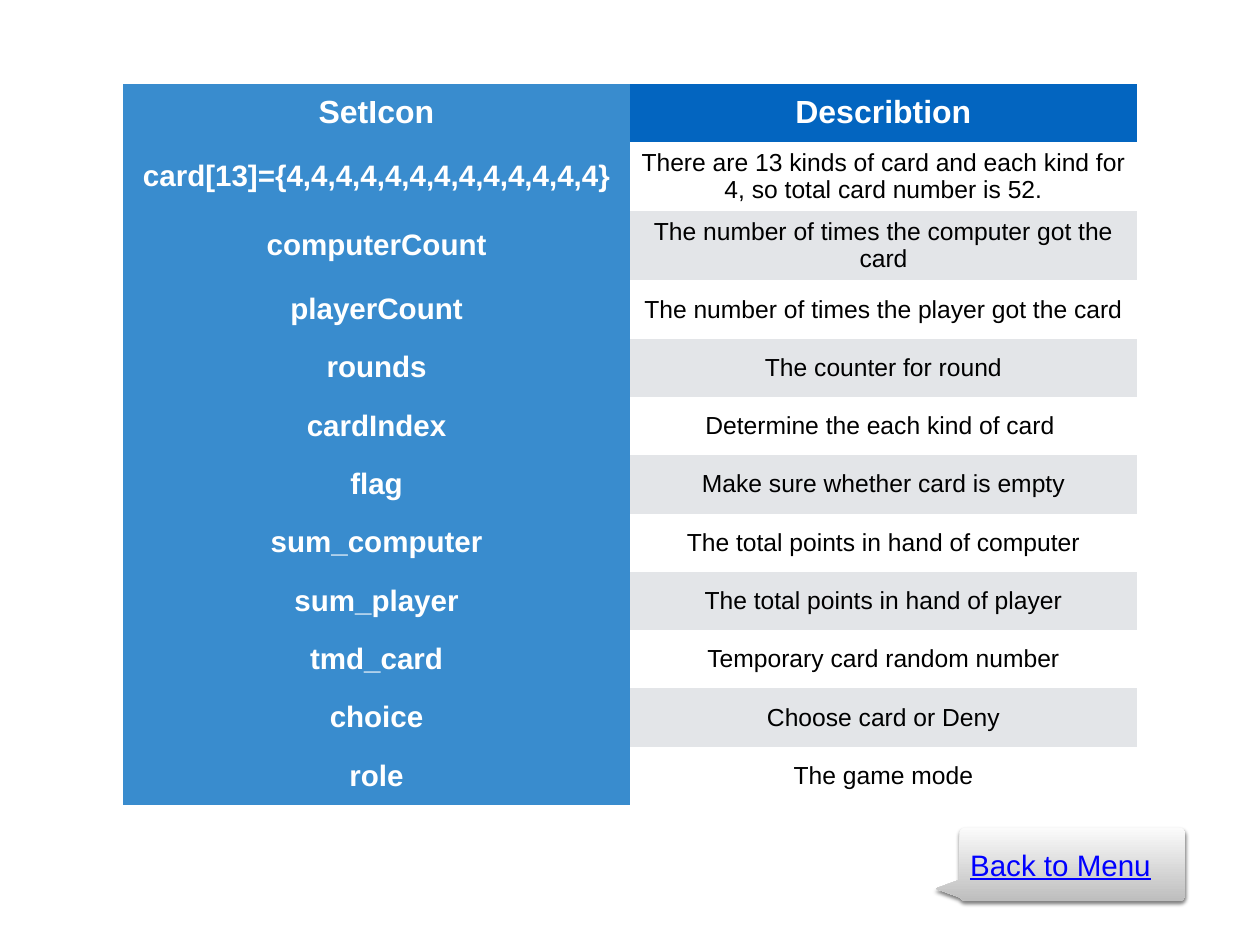
from math import cos, radians, sin

from lxml.etree import SubElement
from pptx import Presentation
from pptx.dml.color import RGBColor
from pptx.enum.text import MSO_ANCHOR as ANCHOR, PP_ALIGN as ALIGN
from pptx.oxml.ns import qn
from pptx.util import Pt

FONT = "Arial"
INSET = 4
HEADER = ("SetIcon", "Describtion")
VARIABLES = [
    ("card[13]={4,4,4,4,4,4,4,4,4,4,4,4,4}",
     "There are 13 kinds of card and each kind for 4, so total card number is 52."),
    ("computerCount", "The number of times the computer got the card"),
    ("playerCount", "The number of times the player got the card"),
    ("rounds", "The counter for round"),
    ("cardIndex", "Determine the each kind of card "),
    ("flag", "Make sure whether card is empty"),
    ("sum_computer", "The total points in hand of computer"),
    ("sum_player", "The total points in hand of player"),
    ("tmd_card", "Temporary card random number"),
    ("choice", "Choose card or Deny"),
    ("role", "The game mode"),
]
NO_STYLE = "{2D5ABB26-0587-4C30-8999-92F81FD0307C}"


def rgb(color):
    return RGBColor.from_string(color)


def write(tf, text, size, color, bold=False, underline=False):
    p = tf.paragraphs[0]
    p.alignment = ALIGN.CENTER
    r = p.add_run()
    r.text = text
    r.font.name, r.font.size = FONT, Pt(size)
    r.font.bold, r.font.underline = bold, underline
    r.font.color.rgb = rgb(color)


def set_insets(target):
    for side in ("left", "top", "right", "bottom"):
        setattr(target, f"margin_{side}", Pt(INSET))


def add_variable_table(s, left, top, width, row_height, tall_height):
    rows = [HEADER, *VARIABLES]
    heights = [tall_height if i in (1, 2) else row_height for i in range(len(rows))]
    frame = s.shapes.add_table(len(rows), 2, Pt(left), Pt(top), Pt(width), Pt(sum(heights)))
    table = frame.table
    table.horz_banding = False
    table.first_col = True
    table._tbl.tblPr.find(qn("a:tableStyleId")).text = NO_STYLE
    for column in table.columns:
        column.width = Pt(width / 2)

    for i, (texts, height) in enumerate(zip(rows, heights)):
        table.rows[i].height = Pt(height)
        band = "0365C0" if i == 0 else ("E3E5E8", "FFFFFF")[i % 2]
        for j, (text, fill) in enumerate(zip(texts, ("398CCE", band))):
            cell = table.cell(i, j)
            cell.fill.solid()
            cell.fill.fore_color.rgb = rgb(fill)
            cell.vertical_anchor = ANCHOR.MIDDLE
            set_insets(cell)
            strong = i == 0 or j == 0
            size = 26 if i == 0 else (24, 20)[j]
            write(cell.text_frame, text, size, "FFFFFF" if strong else "000000", strong)


def add_menu_callout(s, left, top, width, height):
    # Rounded body with a pointer at the lower left
    radius, pointer = 5, 19.5
    body, right, bottom = left + pointer, left + width, top + height
    corners = [
        (right - radius, top + radius, 270),
        (right - radius, bottom - radius, 0),
        (body + radius, bottom - radius, 90),
        (body + radius, top + radius, 180),
    ]
    arcs = [[(x + radius * cos(radians(a)), y + radius * sin(radians(a)))
             for a in range(start, start + 91, 15)] for x, y, start in corners]
    arcs[2] = arcs[2][:4]
    tail = [(body + 0.6, top + 57), (left, top + 49.7), (body, top + 42.5)]
    points = [(Pt(x), Pt(y)) for x, y in arcs[0] + arcs[1] + arcs[2] + tail + arcs[3]]
    builder = s.shapes.build_freeform(*points[0], scale=1.0)
    builder.add_line_segments(points[1:], close=True)
    callout = builder.convert_to_shape()

    # Grey gradient and soft shadow below
    callout.line.fill.background()
    callout.fill.gradient()
    callout.fill.gradient_angle = 270
    for stop, color, position in zip(callout.fill.gradient_stops, ("FBFBFB", "BEBEBE"), (0, 1)):
        stop.color.rgb = rgb(color)
        stop.position = position
    callout.shadow.inherit = False
    effects = callout._element.spPr.find(qn("a:effectLst"))
    shadow = SubElement(effects, qn("a:outerShdw"), blurRad=str(Pt(3)), dist=str(Pt(2)),
                        dir="5400000", algn="ctr", rotWithShape="0")
    shade = SubElement(shadow, qn("a:srgbClr"), val="000000")
    SubElement(shade, qn("a:alpha"), val="50000")

    # Label
    tf = callout.text_frame
    tf.word_wrap = True
    tf.vertical_anchor = ANCHOR.MIDDLE
    set_insets(tf)
    write(tf, "Back to Menu", 24, "0000FF", underline=True)


def main():
    prs = Presentation()
    prs.slide_width, prs.slide_height = Pt(1024), Pt(768)
    s = prs.slides.add_slide(prs.slide_layouts[6])
    add_variable_table(s, 100, 68, 824, 47.4, 56.2)
    add_menu_callout(s, 760.3, 672.5, 203, 59.7)
    prs.save("out.pptx")


if __name__ == "__main__":
    main()
